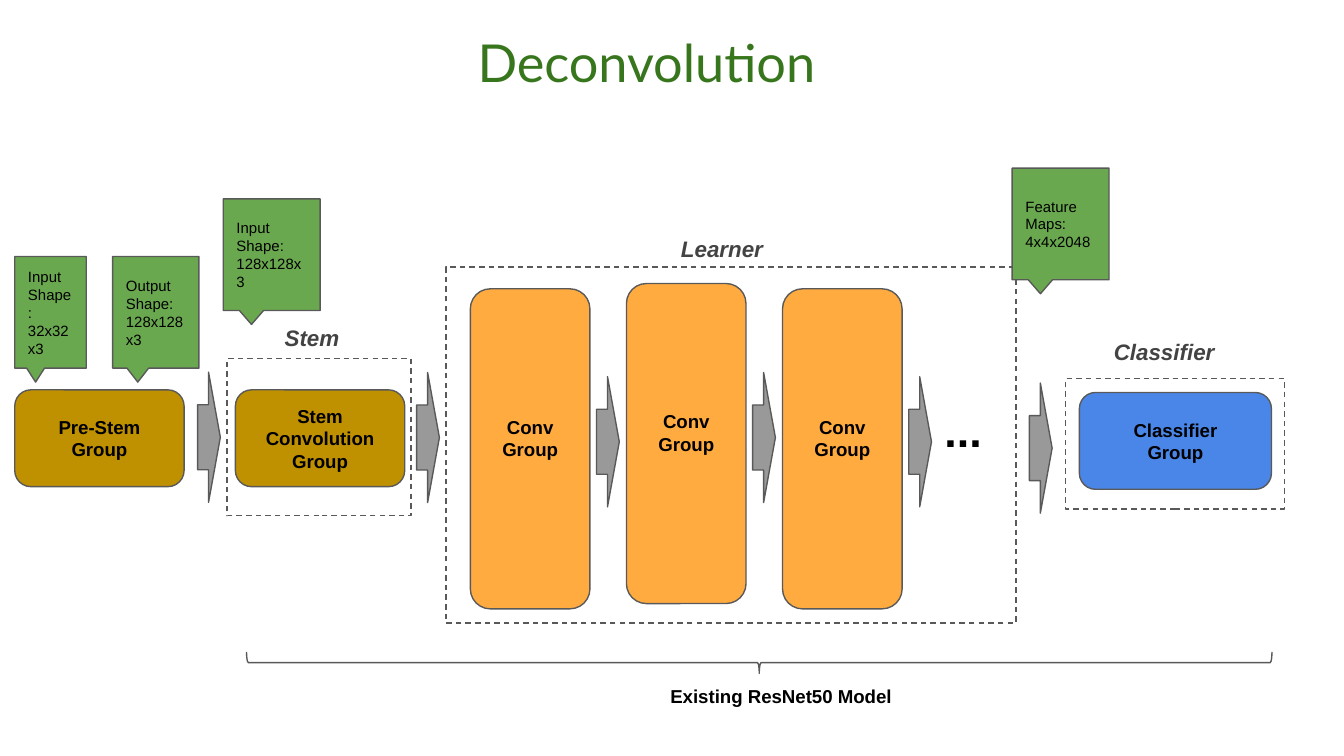
from pptx import Presentation
from pptx.dml.color import RGBColor
from pptx.enum.dml import MSO_LINE
from pptx.enum.shapes import MSO_SHAPE
from pptx.enum.text import MSO_ANCHOR, PP_ALIGN
from pptx.util import Cm, Pt

COLORS = {
    "title": "38761D", "label": "434343", "text": "000000", "line": "595959",
    "stem": "BF9000", "conv": "FFAB40", "classifier": "4A86E8",
    "arrow": "999999", "callout": "6AA84F",
}
RECTANGLE = MSO_SHAPE.RECTANGLE
ROUNDED = MSO_SHAPE.ROUNDED_RECTANGLE
DOWN_ARROW = MSO_SHAPE.DOWN_ARROW
LEFT_BRACE = MSO_SHAPE.LEFT_BRACE
CALLOUT = MSO_SHAPE.RECTANGULAR_CALLOUT
DASH = MSO_LINE.DASH
LEFT, CENTER = PP_ALIGN.LEFT, PP_ALIGN.CENTER
TOP, MIDDLE = MSO_ANCHOR.TOP, MSO_ANCHOR.MIDDLE
TITLE_ONLY = 5
INSET = 0.25
LINE_HEIGHT = 0.41
ARROW_LENGTH, ARROW_SPAN = 0.43, 2.46
BLOCK_HEIGHT = 1.83


def color(name):
    return RGBColor.from_string(COLORS[name])


def write(shape, text, size, font="Arial", tint="text", bold=False,
          italic=False, align=LEFT, anchor=TOP, bottom=INSET):
    frame = shape.text_frame
    frame.word_wrap = True
    frame.vertical_anchor = anchor
    frame.margin_left = frame.margin_right = frame.margin_top = Cm(INSET)
    frame.margin_bottom = Cm(bottom)
    frame.text = text
    for paragraph in frame.paragraphs:
        paragraph.alignment = align
        paragraph.font.name = font
        paragraph.font.size = Pt(size)
        paragraph.font.bold = bold
        paragraph.font.italic = italic
        paragraph.font.color.rgb = color(tint)


def add_outline(slide, kind, left, top, width, height, fill=None, adjustments=()):
    shape = slide.shapes.add_shape(kind, Cm(left), Cm(top), Cm(width), Cm(height))
    shape.shadow.inherit = False
    for index, value in enumerate(adjustments):
        shape.adjustments[index] = value
    if fill:
        shape.fill.solid()
        shape.fill.fore_color.rgb = color(fill)
    else:
        shape.fill.background()
    shape.line.color.rgb = color("line")
    shape.line.width = Pt(0.75)
    return shape


def add_frame(slide, left, top, width, height):
    frame = add_outline(slide, RECTANGLE, left, top, width, height)
    frame.line.dash_style = DASH


def add_block(slide, text, left, top, width, height, fill, bottom=INSET):
    block = add_outline(slide, ROUNDED, left, top, width, height, fill, (0.167,))
    write(block, text, 10, bold=True, align=CENTER, anchor=MIDDLE, bottom=bottom)


def add_arrow(slide, center_x, center_y):
    arrow = add_outline(slide, DOWN_ARROW, center_x - ARROW_SPAN / 2,
                        center_y - ARROW_LENGTH / 2, ARROW_SPAN, ARROW_LENGTH,
                        "arrow", (0.5, 0.517))
    arrow.rotation = 270


def add_callout(slide, text, left, top, width=1.83):
    callout = add_outline(slide, CALLOUT, left, top, width, 2.11, "callout",
                          (-0.208, 0.625))
    write(callout, text, 8, anchor=MIDDLE)


def add_text(slide, text, left, top, width, size, **style):
    box = slide.shapes.add_textbox(Cm(left), Cm(top), Cm(width), Cm(1.02))
    write(box, text, size, bold=True, **style)


def add_label(slide, text, left, top, width):
    add_text(slide, text, left, top, width, 12, tint="label", italic=True)


def add_title(slide, left, top, width, height):
    title = slide.shapes.title
    title.left, title.top = Cm(left), Cm(top)
    title.width, title.height = Cm(width), Cm(height)
    write(title, "Deconvolution", 28, font="Lato", tint="title", align=CENTER)


def add_pre_stem(slide, left, top, width, height):
    add_block(slide, "Pre-Stem\vGroup", left, top, width, height, "stem")
    add_callout(slide, "Input\nShape:\v32x32x3", left, top - 2.52, 1.35)
    add_callout(slide, "Output\nShape:\v128x128x3", left + 1.85, top - 2.52, 1.63)


def add_stem(slide, left, top, width, height):
    add_arrow(slide, left - 0.34, top + height / 2)
    add_frame(slide, left, top, width, height)
    add_block(slide, "Stem\vConvolution Group", left + 0.16, top + 0.59,
              width - 0.28, BLOCK_HEIGHT, "stem")
    add_label(slide, "Stem", left + 0.84, top - 0.91, 2.03)
    add_callout(slide, "Input Shape:\v128x128x3", left - 0.07, top - 3.02)


def add_learner(slide, left, top, width, height):
    add_frame(slide, left, top, width, height)
    add_arrow(slide, left - 0.34, top + 3.22)
    # Conv groups at equal pitch; the middle one sits slightly higher
    groups = [("Conv Group", 0), ("Conv Group", 0.1), ("Conv\nGroup", 0)]
    for index, (text, lift) in enumerate(groups):
        x = left + 0.46 + 2.95 * index
        add_block(slide, text, x, top + 0.41 - lift, 2.26, 6.05, "conv",
                  bottom=INSET + LINE_HEIGHT)
        add_arrow(slide, x + 2.6, top + 3.3 - lift * 0.8)
    add_text(slide, "...", left + 9.17, top + 2.32, 2.03, 24)
    add_label(slide, "Learner", left + 4.19, top - 0.86, 2.41)


def add_classifier(slide, left, top, width, height):
    add_arrow(slide, left - 0.47, top + 1.31)
    add_frame(slide, left, top, width, height)
    add_block(slide, "Classifier\vGroup", left + 0.26, top + 0.26,
              width - 0.51, BLOCK_HEIGHT, "classifier")
    add_label(slide, "Classifier", left + 0.66, top - 1.01, 2.69)
    add_callout(slide, "Feature Maps:\v4x4x2048", left - 1.01, top - 3.98)


def add_model_brace(slide, left, top, width, height):
    # The brace is drawn upright and turned about its centre
    brace = add_outline(slide, LEFT_BRACE, left + (width - height) / 2,
                        top + (height - width) / 2, height, width,
                        adjustments=(0.083, 0.5))
    brace.rotation = 270
    add_text(slide, "Existing ResNet50 Model", left + 7.76, top + 0.41, 4.75, 10)


def main():
    presentation = Presentation()
    presentation.slide_width, presentation.slide_height = Cm(25.4), Cm(14.29)
    slide = presentation.slides.add_slide(presentation.slide_layouts[TITLE_ONLY])
    add_title(slide, 0.38, 0.33, 23.67, 2.21)
    add_pre_stem(slide, 0.28, 7.37, 3.2, BLOCK_HEIGHT)
    add_stem(slide, 4.29, 6.78, 3.48, 2.97)
    add_learner(slide, 8.43, 5.05, 10.77, 6.73)
    add_classifier(slide, 20.14, 7.16, 4.14, 2.46)
    add_model_brace(slide, 4.66, 12.32, 19.38, 0.41)
    presentation.save("out.pptx")


if __name__ == "__main__":
    main()
